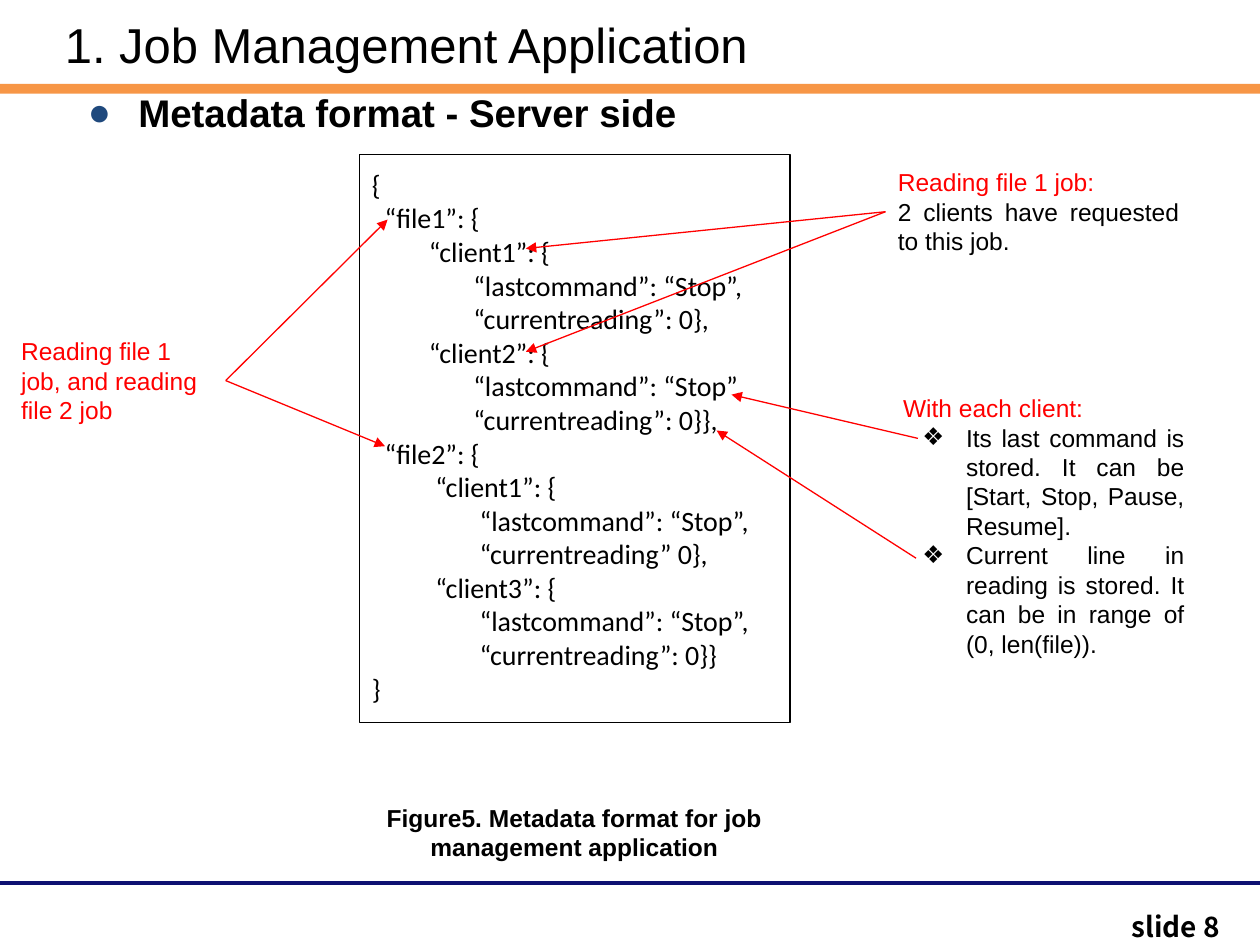
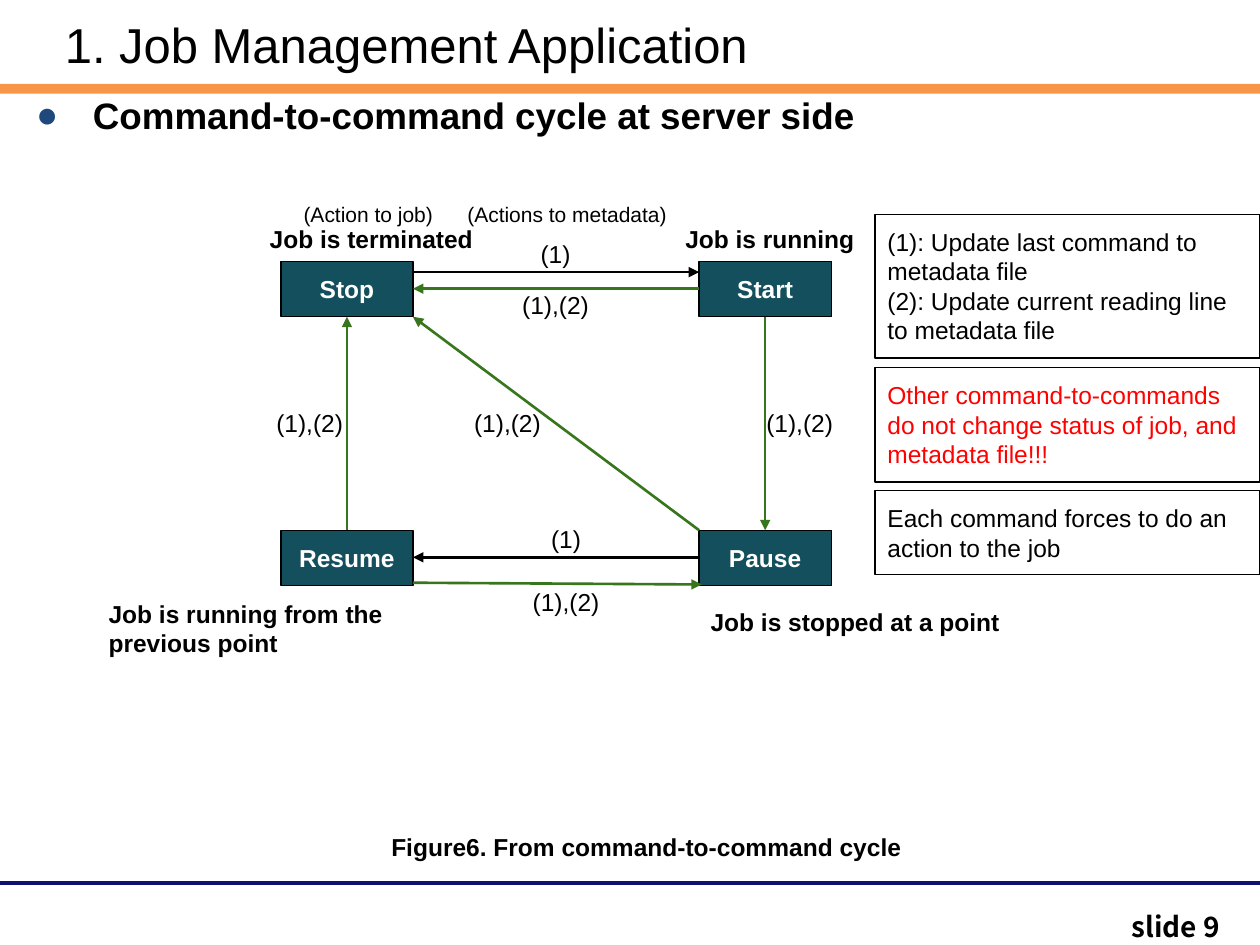
"""Build two slides on the job management application: metadata format and command cycle."""
from dataclasses import dataclass

import pptx
import pptx.dml.color
import pptx.enum.shapes
import pptx.enum.text
import pptx.oxml.ns
import pptx.presentation
import pptx.shapes.base
import pptx.slide
import pptx.util
from lxml import etree

Pt = pptx.util.Pt
Align = pptx.enum.text.PP_ALIGN
Anchor = pptx.enum.text.MSO_ANCHOR


@dataclass(frozen=True)
class Theme:
    black: str = "000000"
    white: str = "FFFFFF"
    red: str = "FF0000"
    green: str = "38761D"
    teal: str = "134F5C"
    orange: str = "F79646"
    navy: str = "0E1172"
    bullet_blue: str = "1F497D"
    sans: str = "Arial"
    code_font: str = "Calibri"
    number_font: str = "Noto Sans CJK KR"
    title_size: float = 28
    number_size: float = 16
    code_size: float = 16
    body_size: float = 14
    hint_size: float = 12


THEME = Theme()


@dataclass(frozen=True)
class Box:
    left: float
    top: float
    width: float
    height: float


@dataclass(frozen=True)
class Para:
    text: str
    color: str = THEME.black
    size: float = THEME.body_size
    bold: bool = False
    font: str = THEME.sans
    align: Align = Align.LEFT
    indent: float = 0
    hanging: float = 0
    bullet: str = ""
    bullet_color: str = THEME.black


@dataclass(frozen=True)
class Block:
    box: Box
    paras: tuple[Para, ...]
    fill: str = ""
    outlined: bool = False
    anchor: Anchor = Anchor.TOP
    inset: float = 7.2


@dataclass(frozen=True)
class Arrow:
    start: tuple[float, float]
    end: tuple[float, float]
    color: str = THEME.red
    width: float = 0.75
    pointed: bool = True


def rgb(color: str) -> pptx.dml.color.RGBColor:
    """Turn a hex string into a colour."""
    return pptx.dml.color.RGBColor.from_string(color)


def add_xml(parent: etree._Element, tag: str, **attributes: str) -> etree._Element:
    """Append a DrawingML element to its parent."""
    return etree.SubElement(parent, pptx.oxml.ns.qn(tag), attributes)


def write_para(paragraph: pptx.text.text._Paragraph, para: Para) -> None:
    """Fill one paragraph with its run, spacing, indent and bullet."""
    paragraph.alignment = para.align
    paragraph.line_spacing = 1.0
    properties = paragraph._p.get_or_add_pPr()
    properties.set("marL", str(Pt(para.indent)))
    properties.set("indent", str(Pt(-para.hanging)))
    if para.bullet:
        bullet_color = add_xml(properties, "a:buClr")
        add_xml(bullet_color, "a:srgbClr", val=para.bullet_color)
        add_xml(properties, "a:buFont", typeface=THEME.sans)
        add_xml(properties, "a:buChar", char=para.bullet)
    run = paragraph.add_run()
    run.text = para.text
    run.font.name = para.font
    run.font.size = Pt(para.size)
    run.font.bold = para.bold
    run.font.color.rgb = rgb(para.color)


def draw_block(slide: pptx.slide.Slide, block: Block) -> None:
    """Draw a text box, or a rectangle when it has a fill or an outline."""
    box = block.box
    place = Pt(box.left), Pt(box.top), Pt(box.width), Pt(box.height)
    if block.fill or block.outlined:
        shape = slide.shapes.add_shape(pptx.enum.shapes.MSO_SHAPE.RECTANGLE, *place)
        shape.shadow.inherit = False
        if block.fill:
            shape.fill.solid()
            shape.fill.fore_color.rgb = rgb(block.fill)
        else:
            shape.fill.background()
        if block.outlined:
            shape.line.color.rgb = rgb(THEME.black)
            shape.line.width = Pt(0.75)
        else:
            shape.line.fill.background()
    else:
        shape = slide.shapes.add_textbox(*place)
    frame = shape.text_frame
    frame.word_wrap = True
    frame.vertical_anchor = block.anchor
    frame.margin_left = frame.margin_right = Pt(7.2)
    frame.margin_top = frame.margin_bottom = Pt(block.inset)
    for index, para in enumerate(block.paras):
        write_para(frame.add_paragraph() if index else frame.paragraphs[0], para)


def draw_arrow(slide: pptx.slide.Slide, arrow: Arrow) -> None:
    """Draw a straight line with an optional head at its end."""
    ends = [Pt(value) for value in (*arrow.start, *arrow.end)]
    line = slide.shapes.add_connector(pptx.enum.shapes.MSO_CONNECTOR.STRAIGHT, *ends)
    line.line.color.rgb = rgb(arrow.color)
    line.line.width = Pt(arrow.width)
    if arrow.pointed:
        add_xml(line.line._get_or_add_ln(), "a:tailEnd", type="triangle")
    add_xml(line._element.spPr, "a:effectLst")


def add_framed_slide(
    deck: pptx.presentation.Presentation, number: int, heading: Para, heading_box: Box
) -> pptx.slide.Slide:
    """Add a slide with the shared title, bands, number and a bulleted heading."""
    slide = deck.slides.add_slide(deck.slide_layouts[6])
    draw_arrow(slide, Arrow((0, 504.5), (720, 504.5), THEME.navy, 2.25, pointed=False))
    title = Para("1. Job Management Application", size=THEME.title_size)
    slide_number = Para(f"slide {number}", size=THEME.number_size, bold=True, font=THEME.number_font)
    for block in (
        Block(Box(0, 48, 720, 5.5), (), fill=THEME.orange),
        Block(Box(639.5, 516, 80.5, 26.5), (slide_number,), inset=3.6),
        Block(Box(30, 3, 648, 44), (title,), anchor=Anchor.MIDDLE, inset=3.6),
        Block(heading_box, (heading,), inset=3.6),
    ):
        draw_block(slide, block)
    return slide


def heading_para(text: str, size: float, hanging: float) -> Para:
    """Describe the bulleted heading under the title."""
    return Para(text, size=size, bold=True, indent=36, hanging=hanging,
                bullet="●", bullet_color=THEME.bullet_blue)


def bold_para(text: str, align: Align = Align.LEFT) -> Para:
    """Describe a bold line at body size."""
    return Para(text, bold=True, align=align)


METADATA_LINES = (
    (0, "{"),
    (2, "“file1”: {"),
    (9, "“client1”: {"),
    (16, "“lastcommand”: “Stop”,"),
    (16, "“currentreading”: 0},"),
    (9, "“client2”: {"),
    (16, "“lastcommand”: “Stop”,"),
    (16, "“currentreading”: 0}},"),
    (2, "“file2”: {"),
    (10, "“client1”: {"),
    (17, "“lastcommand”: “Stop”,"),
    (17, "“currentreading” 0},"),
    (10, "“client3”: {"),
    (17, "“lastcommand”: “Stop”,"),
    (17, "“currentreading”: 0}}"),
    (0, "}"),
)


def build_metadata_slide(deck: pptx.presentation.Presentation) -> None:
    """Build the annotated listing of the server side metadata."""
    slide = add_framed_slide(deck, 8, heading_para("Metadata format - Server side", 22, 28.8),
                             Box(36, 47.5, 648, 436))
    column_width = 3.62
    listing = tuple(
        Para(text, size=THEME.code_size, font=THEME.code_font, indent=round(columns * column_width, 2))
        for columns, text in METADATA_LINES
    )
    stored_facts = tuple(
        Para(text, align=Align.JUSTIFY, indent=36, hanging=25, bullet="❖")
        for text in (
            "Its last command is stored. It can be [Start, Stop, Pause, Resume].",
            "Current line in reading is stored. It can be in range of (0, len(file)).",
        )
    )
    caption = bold_para("Figure5. Metadata format for job management application", Align.CENTER)
    jobs_note = Para("Reading file 1 job, and reading file 2 job", THEME.red)
    clients_note = (Para("Reading file 1 job:", THEME.red),
                    Para("2 clients have requested to this job.", align=Align.JUSTIFY))
    for block in (
        Block(Box(205.5, 88.5, 246, 324.5), listing, outlined=True),
        Block(Box(191.5, 451.5, 273.5, 48), (caption,)),
        Block(Box(5, 185, 124, 65.5), (jobs_note,)),
        Block(Box(506, 88.5, 175, 65.5), clients_note),
        Block(Box(509, 217.5, 175, 167), (Para("With each client:", THEME.red), *stored_facts)),
    ):
        draw_block(slide, block)

    jobs_origin, clients_origin = (129, 217.5), (506, 121)
    for start, end in (
        (jobs_origin, (221.5, 125.5)),
        (jobs_origin, (220, 255)),
        (clients_origin, (300.5, 142)),
        (clients_origin, (300.5, 201)),
        ((524.5, 250.5), (418, 225.5)),
        ((523.5, 319), (409.5, 246)),
    ):
        draw_arrow(slide, Arrow(start, end))


def build_cycle_slide(deck: pptx.presentation.Presentation) -> None:
    """Build the diagram of transitions between the four commands."""
    slide = add_framed_slide(deck, 9, heading_para("Command-to-command cycle at server side", 21, 32.4),
                             Box(10, 49.5, 688, 433))
    left, right, upper, lower = 160.5, 399.5, 149.5, 303
    width, height = 75.5, 31.5
    for name, x, y in (("Stop", left, upper), ("Start", right, upper),
                       ("Resume", left, lower), ("Pause", right, lower)):
        command = Para(name, THEME.white, bold=True, align=Align.CENTER)
        draw_block(slide, Block(Box(x, y, width, height), (command,), THEME.teal, True, Anchor.MIDDLE))

    inner, left_axis, right_axis = left + width, left + width / 2, right + width / 2
    upper_edge = upper + height
    for start, end, color in (
        ((inner, 155.5), (right, 155.5), THEME.black),
        ((right, 165), (inner, 165), THEME.green),
        ((right_axis, upper_edge), (right_axis, lower), THEME.green),
        ((right, lower), (inner, upper_edge), THEME.green),
        ((left_axis, lower), (left_axis, upper_edge), THEME.green),
        ((inner, 333), (401, 334), THEME.green),
        ((right, 318.5), (inner, 318.5), THEME.black),
    ):
        draw_arrow(slide, Arrow(start, end, color, 1.5))

    update_command, update_both = "(1)", "(1),(2)"
    for text, center, top in (
        (update_command, 317.5, 129.5), (update_both, 317.5, 158.5),
        (update_command, 323.5, 292.5), (update_both, 323.5, 328.5),
        (update_both, 177, 226), (update_both, 290, 226), (update_both, 457, 226),
    ):
        label = Para(text, align=Align.CENTER)
        draw_block(slide, Block(Box(center - 30.5, top, 61, 31.5), (label,)))

    for text, box in (
        ("Job is terminated", Box(147, 121, 140.5, 31.5)),
        ("Job is running", Box(384.5, 121, 132, 31.5)),
        ("Job is stopped at a point", Box(399, 339.5, 205, 31.5)),
        ("Job is running from the previous point", Box(55, 335, 205, 48)),
    ):
        draw_block(slide, Block(box, (bold_para(text),)))

    legend = (Para("(1): Update last command to metadata file"),
              Para("(2): Update current reading line to metadata file"))
    exception = Para("Other command-to-commands do not change status of job, and metadata file!!!", THEME.red)
    for top, note_height, paras in (
        (122.5, 82, legend),
        (210, 65.5, (exception,)),
        (280.5, 48, (Para("Each command forces to do an action to the job"),)),
    ):
        draw_block(slide, Block(Box(500, top, 220, note_height), paras, outlined=True))

    for text, x, hint_width in (("(Action to job)", 155, 111), ("(Actions to metadata)", 260, 172)):
        hint = Para(text, size=THEME.hint_size, align=Align.CENTER if x == 155 else Align.LEFT)
        draw_block(slide, Block(Box(x, 108, hint_width, 29), (hint,)))
    caption = bold_para("Figure6. From command-to-command cycle", Align.CENTER)
    draw_block(slide, Block(Box(205, 468, 329, 31.5), (caption,)))


def main() -> None:
    """Build and save the deck."""
    deck = pptx.Presentation()
    deck.slide_width, deck.slide_height = Pt(720), Pt(540)
    build_metadata_slide(deck)
    build_cycle_slide(deck)
    deck.save("out.pptx")


if __name__ == "__main__":
    main()
